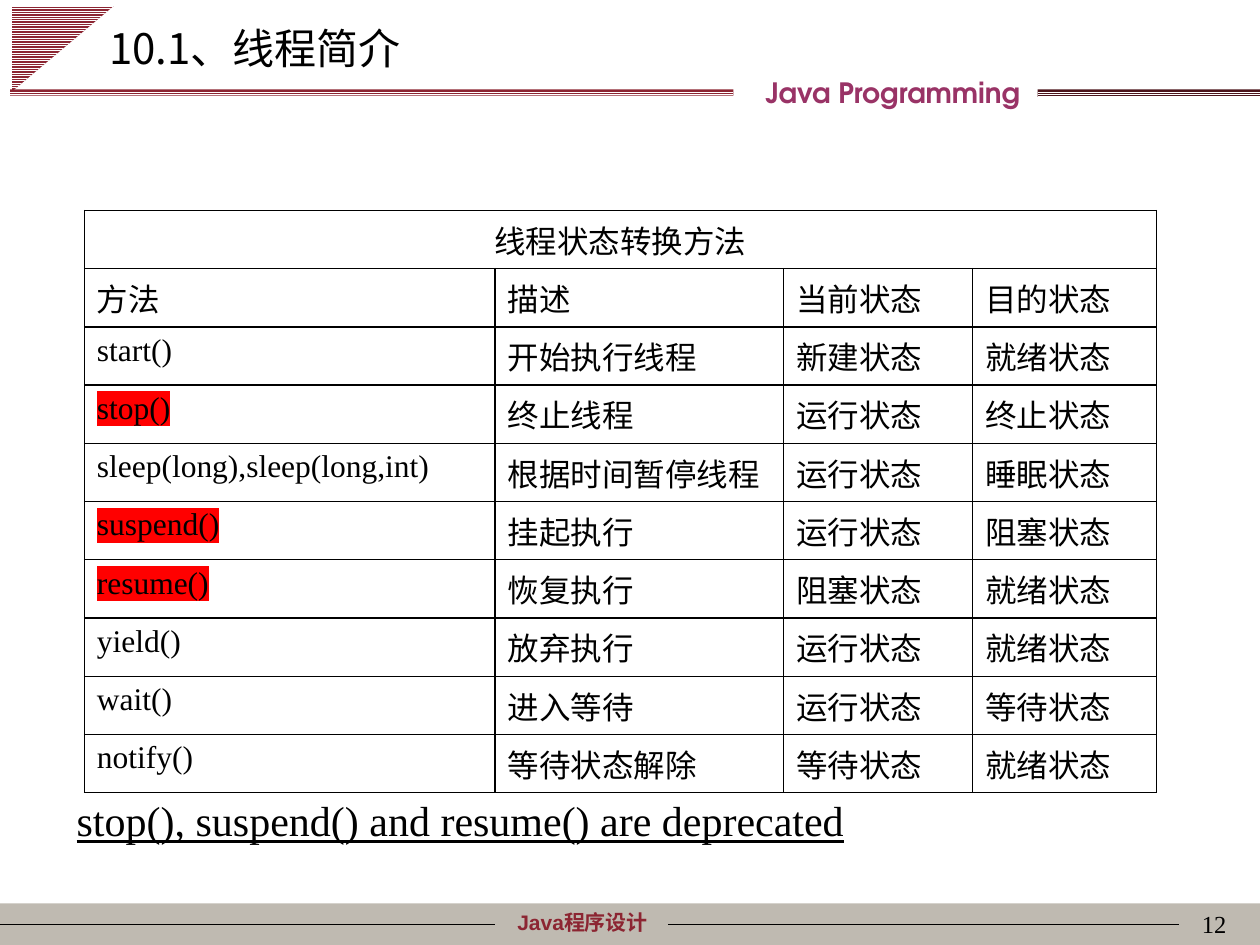
from dataclasses import dataclass
from typing import Optional

from lxml.etree import SubElement
from pptx import Presentation
from pptx.dml.color import RGBColor
from pptx.enum.dml import MSO_PATTERN
from pptx.enum.shapes import MSO_CONNECTOR, MSO_SHAPE
from pptx.enum.text import PP_ALIGN
from pptx.oxml.ns import qn
from pptx.util import Pt


@dataclass(frozen=True)
class Theme:
    black: str = "000000"
    white: str = "FFFFFF"
    red: str = "FF0000"
    wine: str = "8C2532"
    dark: str = "4C141B"
    plum: str = "993366"
    stone: str = "BFBAB1"
    serif: str = "Times New Roman"
    sans: str = "Arial"
    round: str = "TeX Gyre Adventor"
    asian: str = "Noto Sans CJK SC"
    small: int = 12
    page: int = 14
    brand: int = 16
    body: int = 18
    head: int = 24
    thin: float = 0.75
    thick: float = 1


THEME = Theme()


@dataclass(frozen=True)
class Style:
    size: int
    face: str = THEME.serif
    color: str = THEME.black
    bold: bool = False
    under: bool = False
    mark: Optional[str] = None
    align: PP_ALIGN = PP_ALIGN.LEFT


@dataclass(frozen=True)
class Label:
    text: str
    left: float
    top: float
    width: float
    height: float
    style: Style


@dataclass(frozen=True)
class Stripe:
    kind: MSO_SHAPE
    left: float
    top: float
    width: float
    height: float
    color: str
    turn: int = 0


STRIPES = [
    Stripe(MSO_SHAPE.RIGHT_TRIANGLE, 11.5, -1.4, 49, 58.3, THEME.wine, 90),
    Stripe(MSO_SHAPE.RECTANGLE, 593, 51.1, 127, 4.3, THEME.dark),
    Stripe(MSO_SHAPE.RECTANGLE, 5.8, 51.1, 413.3, 3.6, THEME.wine),
]
LABELS = [
    Label("Java程序设计", 260.6, 516.2, 144.7, 21.6,
          Style(THEME.small, THEME.sans, THEME.wine, True, align=PP_ALIGN.CENTER)),
    Label("Java Programming", 365.8, 39.6, 288.7, 26.6,
          Style(THEME.brand, THEME.round, THEME.plum, True, align=PP_ALIGN.CENTER)),
    Label("12", 558, 516.2, 149.8, 36, Style(THEME.page, align=PP_ALIGN.RIGHT)),
    Label("10.1、线程简介", 55.4, 9.4, 612, 36, Style(THEME.head, THEME.asian)),
    Label("stop(), suspend() and resume() are deprecated", 36.7, 450.7, 677.5, 36,
          Style(THEME.head, under=True)),
]
ROWS = [
    ("线程状态转换方法",),
    ("方法", "描述", "当前状态", "目的状态"),
    ("start()", "开始执行线程", "新建状态", "就绪状态"),
    ("stop()", "终止线程", "运行状态", "终止状态"),
    ("sleep(long),sleep(long,int)", "根据时间暂停线程", "运行状态", "睡眠状态"),
    ("suspend()", "挂起执行", "运行状态", "阻塞状态"),
    ("resume()", "恢复执行", "阻塞状态", "就绪状态"),
    ("yield()", "放弃执行", "运行状态", "就绪状态"),
    ("wait()", "进入等待", "运行状态", "等待状态"),
    ("notify()", "等待状态解除", "等待状态", "就绪状态"),
]
WIDTHS = (234.7, 164.9, 108, 105.1)
HEIGHT = 30.67
MARKED = {"stop()", "suspend()", "resume()"}


def write(frame, text: str, style: Style) -> None:
    frame.text = text
    line = frame.paragraphs[0]
    line.alignment = style.align
    for run in line.runs:
        font = run.font
        font.size = Pt(style.size)
        font.bold = style.bold
        font.underline = style.under
        font.color.rgb = RGBColor.from_string(style.color)
        font.name = style.face
        props = run._r.get_or_add_rPr()
        SubElement(props, qn("a:ea")).set("typeface", THEME.asian)
        if style.mark:
            mark = SubElement(props, qn("a:highlight"))
            SubElement(mark, qn("a:srgbClr")).set("val", style.mark)
            props.find(qn("a:solidFill")).addnext(mark)


def label(slide, item: Label) -> None:
    box = slide.shapes.add_textbox(
        Pt(item.left), Pt(item.top), Pt(item.width), Pt(item.height))
    box.text_frame.word_wrap = True
    write(box.text_frame, item.text, item.style)


def stripe(slide, item: Stripe) -> None:
    shape = slide.shapes.add_shape(
        item.kind, Pt(item.left), Pt(item.top), Pt(item.width), Pt(item.height))
    shape.rotation = item.turn
    shape.shadow.inherit = False
    shape.line.fill.background()
    shape.fill.patterned()
    shape.fill.pattern = MSO_PATTERN.LIGHT_HORIZONTAL
    shape.fill.fore_color.rgb = RGBColor.from_string(THEME.white)
    shape.fill.back_color.rgb = RGBColor.from_string(item.color)


def rule(slide, start: float, end: float, level: float):
    line = slide.shapes.add_connector(
        MSO_CONNECTOR.STRAIGHT, Pt(start), Pt(level), Pt(end), Pt(level))
    line.line.color.rgb = RGBColor.from_string(THEME.black)
    line.line.width = Pt(THEME.thin)
    SubElement(line._element.spPr, qn("a:effectLst"))
    return line


def footer(slide) -> None:
    top, height = 516.2, 23.8
    bar = slide.shapes.add_shape(
        MSO_SHAPE.RECTANGLE, Pt(0), Pt(top), Pt(720), Pt(height))
    bar.shadow.inherit = False
    bar.line.fill.background()
    bar.fill.solid()
    bar.fill.fore_color.rgb = RGBColor.from_string(THEME.stone)
    level = top + height / 2
    rule(slide, 0, 283, level).begin_connect(bar, 1)
    rule(slide, 381.6, 673.9, level)


def border(cell, top: float, base: float) -> None:
    props = cell._tc.get_or_add_tcPr()
    sides = (("L", THEME.thin), ("R", THEME.thin), ("T", top), ("B", base))
    for spot, (side, width) in enumerate(sides):
        edge = SubElement(props, qn(f"a:ln{side}"), w=str(Pt(width)))
        paint = SubElement(edge, qn("a:solidFill"))
        SubElement(paint, qn("a:srgbClr")).set("val", THEME.black)
        props.insert(spot, edge)


def grid(slide) -> None:
    count = len(ROWS)
    table = slide.shapes.add_table(
        count, len(WIDTHS), Pt(48.2), Pt(120.2),
        Pt(sum(WIDTHS)), Pt(HEIGHT * count)).table
    table.first_row = table.horz_banding = False
    for column, width in zip(table.columns, WIDTHS):
        column.width = Pt(width)
    table.cell(0, 0).merge(table.cell(0, len(WIDTHS) - 1))
    heavy = {0, 1, count - 1}
    for row, words in enumerate(ROWS):
        table.rows[row].height = Pt(HEIGHT)
        top = THEME.thick if row - 1 in heavy else THEME.thin
        base = THEME.thick if row in heavy else THEME.thin
        for cell in table.rows[row].cells:
            cell.fill.background()
            border(cell, top, base)
        for col, text in enumerate(words):
            style = Style(
                THEME.body,
                mark=THEME.red if text in MARKED else None,
                align=PP_ALIGN.LEFT if row else PP_ALIGN.CENTER)
            write(table.cell(row, col).text_frame, text, style)


def main() -> None:
    deck = Presentation()
    deck.slide_width, deck.slide_height = Pt(720), Pt(540)
    slide = deck.slides.add_slide(deck.slide_layouts[6])
    footer(slide)
    for item in STRIPES:
        stripe(slide, item)
    grid(slide)
    for item in LABELS:
        label(slide, item)
    deck.save("out.pptx")


if __name__ == "__main__":
    main()
